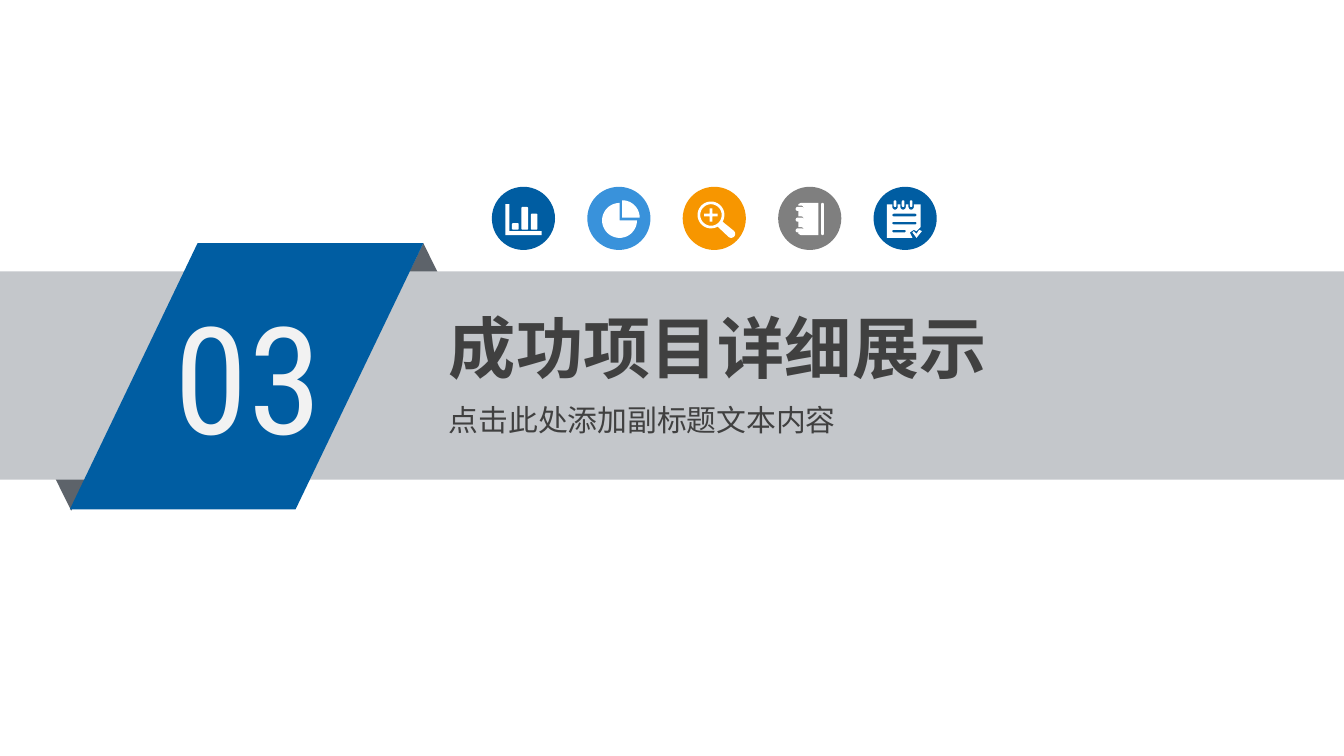
from math import cos, radians, sin

from lxml import etree
from pptx import Presentation
from pptx.dml.color import RGBColor
from pptx.enum.shapes import MSO_SHAPE as Kind
from pptx.enum.text import MSO_ANCHOR as Anchor, MSO_AUTO_SIZE as Fit, PP_ALIGN as Align
from pptx.oxml.ns import qn
from pptx.util import Inches, Pt

BLUE, SKY, AMBER, GRAY = "005DA2", "3992DB", "F79600", "7F7F7F"
WHITE, BAND, FOLD, INK, PALE = "FFFFFF", "C4C7CB", "5D636A", "404040", "F2F2F2"
SANS, SLIM = "Noto Sans CJK SC", "Roboto Condensed"
DISC = 0.47


def paint(fill, color):
    fill.solid()
    fill.fore_color.rgb = RGBColor.from_string(color)


def dress(shape, color):
    shape.shadow.inherit = False
    paint(shape.fill, color)
    shape.line.fill.background()


def add(slide, kind, box, color):
    shape = slide.shapes.add_shape(kind, *map(Inches, box))
    dress(shape, color)
    return shape


def write(box, text, size, color, font, bold=False):
    frame = box.text_frame
    frame.text = text
    frame.word_wrap = True
    frame.auto_size = Fit.SHAPE_TO_FIT_TEXT
    frame.vertical_anchor = Anchor.TOP
    frame.margin_left = frame.margin_right = Inches(0.08)
    frame.margin_top = frame.margin_bottom = Inches(0.04)
    para = frame.paragraphs[0]
    para.alignment = Align.LEFT
    style = para.font
    style.size, style.bold, style.name = Pt(size), bold, font
    paint(style.fill, color)
    props = para._p.pPr.find(qn("a:defRPr"))
    etree.SubElement(props, qn("a:ea")).set("typeface", font)


def label(slide, box, *style):
    write(slide.shapes.add_textbox(*map(Inches, box)), *style)


def head(slide, box, *style):
    """Fill the title and bring it in front of the band."""
    title = slide.shapes.title
    title.left, title.top, title.width, title.height = map(Inches, box)
    write(title, *style)
    slide.shapes._spTree.append(title._element)


def arc(x, y, radius, start, end, steps=16):
    """Points on a circle; angles in degrees, clockwise from the right."""
    turns = [radians(start + (end - start) * i / steps) for i in range(steps + 1)]
    return [(x + radius * cos(t), y + radius * sin(t)) for t in turns]


def pill(x, y, width, height, radius=None):
    """Outline of a rectangle with round corners, fully round by default."""
    r = radius or min(width, height) / 2
    left, top, right, foot = x + r, y + r, x + width - r, y + height - r
    corners = ((left, top, 180), (right, top, 270), (right, foot, 0), (left, foot, 90))
    return [dot for a, b, turn in corners for dot in arc(a, b, r, turn, turn + 90, 6)]


def bars():
    frame = [(0.1, 0.13), (0.13, 0.13), (0.13, 0.33), (0.37, 0.33), (0.37, 0.36), (0.1, 0.36)]
    highs = (0.05, 0.17, 0.12)
    return [frame] + [pill(0.15 + 0.07 * i, 0.32 - high, 0.05, high, 0.01)
                      for i, high in enumerate(highs)]


def pie():
    return [[(0.26, 0.23)] + arc(0.26, 0.23, 0.13, -90, 0),
            [(0.24, 0.25)] + arc(0.24, 0.25, 0.13, 0, 270, 36)]


def lens():
    x, y, arm, half = 0.21, 0.21, 0.05, 0.01
    rim = arc(x, y, 0.1, 60, 390, 36) + arc(0.36, 0.35, 0.03, -45, 135)
    plus = []
    for c, s in ((1, 0), (0, 1), (-1, 0), (0, -1)):
        for a, b in ((half, -half), (arm, -half), (arm, half)):
            plus.append((x + a * c - b * s, y + a * s + b * c))
    return [rim, arc(x, y, 0.08, 0, 360, 36), plus]


def book():
    rows = [0.16 + 0.08 * i for i in range(3)]
    page = [(0.3, 0.12), (0.3, 0.36), (0.17, 0.36), (0.15, 0.35)]
    for y in reversed(rows):
        page += [(0.15, y + 0.02)] + arc(0.17, y, 0.02, 90, -90) + [(0.15, y - 0.02)]
    page += [(0.15, 0.13), (0.17, 0.12)]
    rings = [pill(0.13, y - 0.01, 0.06, 0.03) for y in rows]
    return [page, pill(0.32, 0.12, 0.02, 0.24, 0.01)] + rings


def notes():
    cols = [0.16 + 0.06 * i for i in range(3)]
    page = [(0.1, 0.13)]
    for x in cols:
        page += [(x - 0.02, 0.13)] + arc(x, 0.15, 0.02, 180, 0) + [(x + 0.02, 0.13)]
    page += [(0.35, 0.13), (0.35, 0.3), (0.32, 0.33), (0.3, 0.32), (0.27, 0.34),
             (0.29, 0.38), (0.1, 0.38)]
    tick = [(0.29, 0.34), (0.3, 0.33), (0.32, 0.35), (0.34, 0.32), (0.36, 0.33), (0.32, 0.38)]
    rings = [pill(x - 0.01, 0.1, 0.02, 0.05) for x in cols]
    lines = [pill(0.14, 0.2 + 0.06 * i, width, 0.02)
             for i, width in enumerate((0.18, 0.18, 0.1))]
    return [page, tick] + rings + lines


def glyph(slide, x, y, loops):
    """Draw all outlines as one white shape; inner ones become holes."""
    paths = [[(Inches(x + a), Inches(y + b)) for a, b in loop] for loop in loops]
    pen = slide.shapes.build_freeform(*paths[0][0])
    for i, (start, *rest) in enumerate(paths):
        if i:
            pen.move_to(*start)
        pen.add_line_segments(rest)
    dress(pen.convert_to_shape(), WHITE)


def banner(slide):
    add(slide, Kind.ISOSCELES_TRIANGLE, (2.7, 1.81, 0.9, 0.91), FOLD)
    add(slide, Kind.ISOSCELES_TRIANGLE, (0.08, 2.89, 0.9, 0.91), FOLD).rotation = 180
    add(slide, Kind.RECTANGLE, (0, 2.02, 10, 1.55), BAND)
    add(slide, Kind.PARALLELOGRAM, (0.52, 1.81, 2.63, 1.98), BLUE).adjustments[0] = 0.48


def icons(slide, x, y, step):
    row = ((BLUE, bars), (SKY, pie), (AMBER, lens), (GRAY, book), (BLUE, notes))
    for i, (color, draw) in enumerate(row):
        left = x + step * i
        add(slide, Kind.OVAL, (left, y, DISC, DISC), color)
        glyph(slide, left, y, draw())


def main():
    deck = Presentation()
    deck.slide_width = Inches(10)
    deck.slide_height = deck.slide_width * 9 // 16
    slide = deck.slides.add_slide(deck.slide_layouts[5])
    banner(slide)
    label(slide, (1.22, 2.08, 1.45, 1.42), "03", 80, PALE, SLIM)
    head(slide, (3.26, 2.24, 5.52, 0.68), "成功项目详细展示", 36, INK, SANS, True)
    label(slide, (3.26, 2.95, 3.36, 0.35), "点击此处添加副标题文本内容", 16, INK, SANS)
    icons(slide, 3.66, 1.39, 0.71)
    deck.save("out.pptx")


if __name__ == "__main__":
    main()
